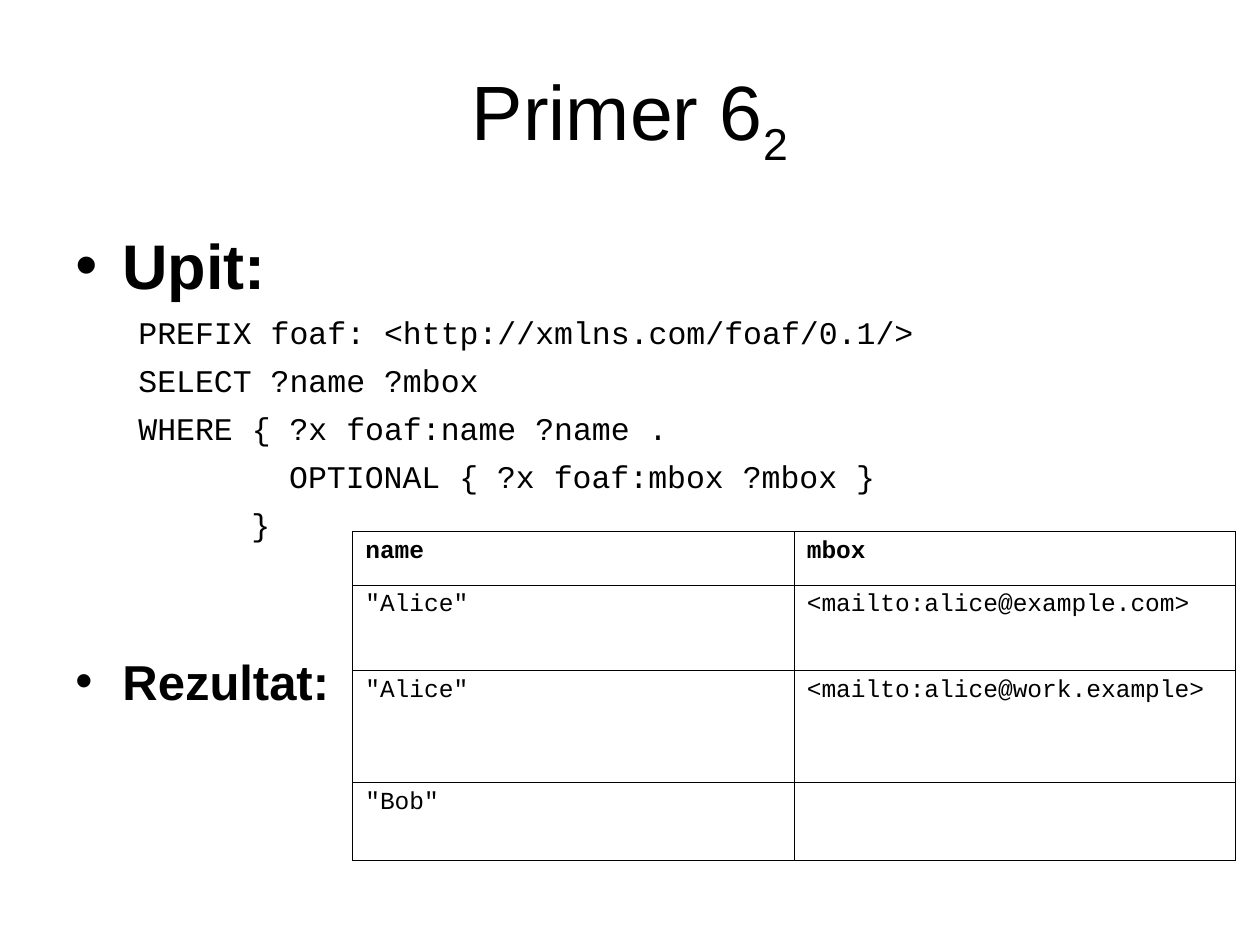
from dataclasses import dataclass

import pptx
import pptx.dml.color
import pptx.enum.text
import pptx.oxml
import pptx.oxml.ns
import pptx.util
from pptx.util import Cm, Pt


@dataclass(frozen=True)
class Theme:
    black: str = "000000"
    sans: str = "Arial"
    mono: str = "Courier New"
    title: float = 44
    query: float = 36
    result: float = 28
    code: float = 18
    cell: float = 14
    border: float = 0.45


@dataclass(frozen=True)
class Line:
    text: str
    size: float
    font: str
    before: float
    left: float  # cm
    bold: bool = False
    bullet: bool = False


THEME = Theme()
HANG = 0.95
CODE_LEFT = 1.27
CODE_CHAR = 0.38  # width of one code character, cm

# Code lines with their indent in characters
QUERY = [
    (0, "PREFIX foaf: <http://xmlns.com/foaf/0.1/>"),
    (0, "SELECT ?name ?mbox"),
    (0, "WHERE { ?x foaf:name ?name ."),
    (8, "OPTIONAL { ?x foaf:mbox ?mbox }"),
    (6, "}"),
]
RESULT = [
    ("name", "mbox"),
    ('"Alice"', "<mailto:alice@example.com>"),
    ('"Alice"', "<mailto:alice@work.example>"),
    ('"Bob"', ""),
]
ROW_HEIGHTS = (1.07, 1.73, 2.26, 1.57)
COLUMN_WIDTH = 8.9


def add_run(paragraph, text: str, size: float, font: str, bold: bool = False):
    run = paragraph.add_run()
    run.text = text
    run.font.size = Pt(size)
    run.font.name = font
    run.font.bold = bold
    run.font.color.rgb = pptx.dml.color.RGBColor.from_string(THEME.black)
    return run


def add_frame(slide, left: float, top: float, width: float, height: float):
    box = slide.shapes.add_textbox(Cm(left), Cm(top), Cm(width), Cm(height))
    box.text_frame.word_wrap = True
    return box.text_frame


def set_indent(paragraph, line: Line) -> None:
    properties = paragraph._p.get_or_add_pPr()
    properties.set("marL", str(Cm(line.left)))
    if line.bullet:
        properties.set("indent", str(-Cm(HANG)))
        for tag, name, value in (("buFont", "typeface", THEME.sans), ("buChar", "char", "•")):
            bullet = pptx.oxml.parse_xml(f'<a:{tag} {pptx.oxml.ns.nsdecls("a")} {name}="{value}"/>')
            properties.append(bullet)


def add_lines(frame, lines: list[Line]) -> None:
    for index, line in enumerate(lines):
        paragraph = frame.add_paragraph() if index else frame.paragraphs[0]
        paragraph.space_before = Pt(line.before)
        set_indent(paragraph, line)
        add_run(paragraph, line.text, line.size, line.font, line.bold)


def set_borders(cell) -> None:
    properties = cell._tc.get_or_add_tcPr()
    for position, side in enumerate(("lnL", "lnR", "lnT", "lnB")):
        properties.insert(position, pptx.oxml.parse_xml(
            f'<a:{side} {pptx.oxml.ns.nsdecls("a")} w="{Pt(THEME.border)}">'
            f'<a:solidFill><a:srgbClr val="{THEME.black}"/></a:solidFill></a:{side}>'))


def add_result_table(slide, left: float, top: float) -> None:
    table = slide.shapes.add_table(
        len(RESULT), 2, Cm(left), Cm(top), Cm(2 * COLUMN_WIDTH), Cm(sum(ROW_HEIGHTS))).table
    table.horz_banding = False
    for column in table.columns:
        column.width = Cm(COLUMN_WIDTH)
    for index, (values, height) in enumerate(zip(RESULT, ROW_HEIGHTS)):
        table.rows[index].height = Cm(height)
        for cell, value in zip(table.rows[index].cells, values):
            cell.fill.background()
            set_borders(cell)
            paragraph = cell.text_frame.paragraphs[0]
            paragraph.space_before = Pt(3.5)
            if value:
                add_run(paragraph, value, THEME.cell, THEME.mono, index == 0)


def main() -> None:
    deck = pptx.Presentation()
    deck.slide_width, deck.slide_height = Cm(25.4), Cm(19.05)
    slide = deck.slides.add_slide(deck.slide_layouts[6])

    # Title with its subscript
    title = add_frame(slide, 1.27, 0.76, 22.86, 3.18)
    title.vertical_anchor = pptx.enum.text.MSO_ANCHOR.MIDDLE
    heading = title.paragraphs[0]
    heading.alignment = pptx.enum.text.PP_ALIGN.CENTER
    add_run(heading, "Primer 6", THEME.title, THEME.sans)
    subscript = add_run(heading, "2", THEME.title, THEME.sans)
    subscript.font._element.set("baseline", "-25000")

    # Query and result headings around the code
    code = [Line(text, THEME.code, THEME.mono, 5.9, CODE_LEFT + chars * CODE_CHAR)
            for chars, text in QUERY]
    add_lines(add_frame(slide, 1.27, 4.45, 22.86, 12.57), [
        Line("Upit:", THEME.query, THEME.sans, 9, HANG, bold=True, bullet=True),
        *code,
        Line("Rezultat:", THEME.result, THEME.sans, 62, HANG, bold=True, bullet=True),
    ])

    # Query result
    add_result_table(slide, 7.11, 10.72)

    deck.save("out.pptx")


if __name__ == "__main__":
    main()
